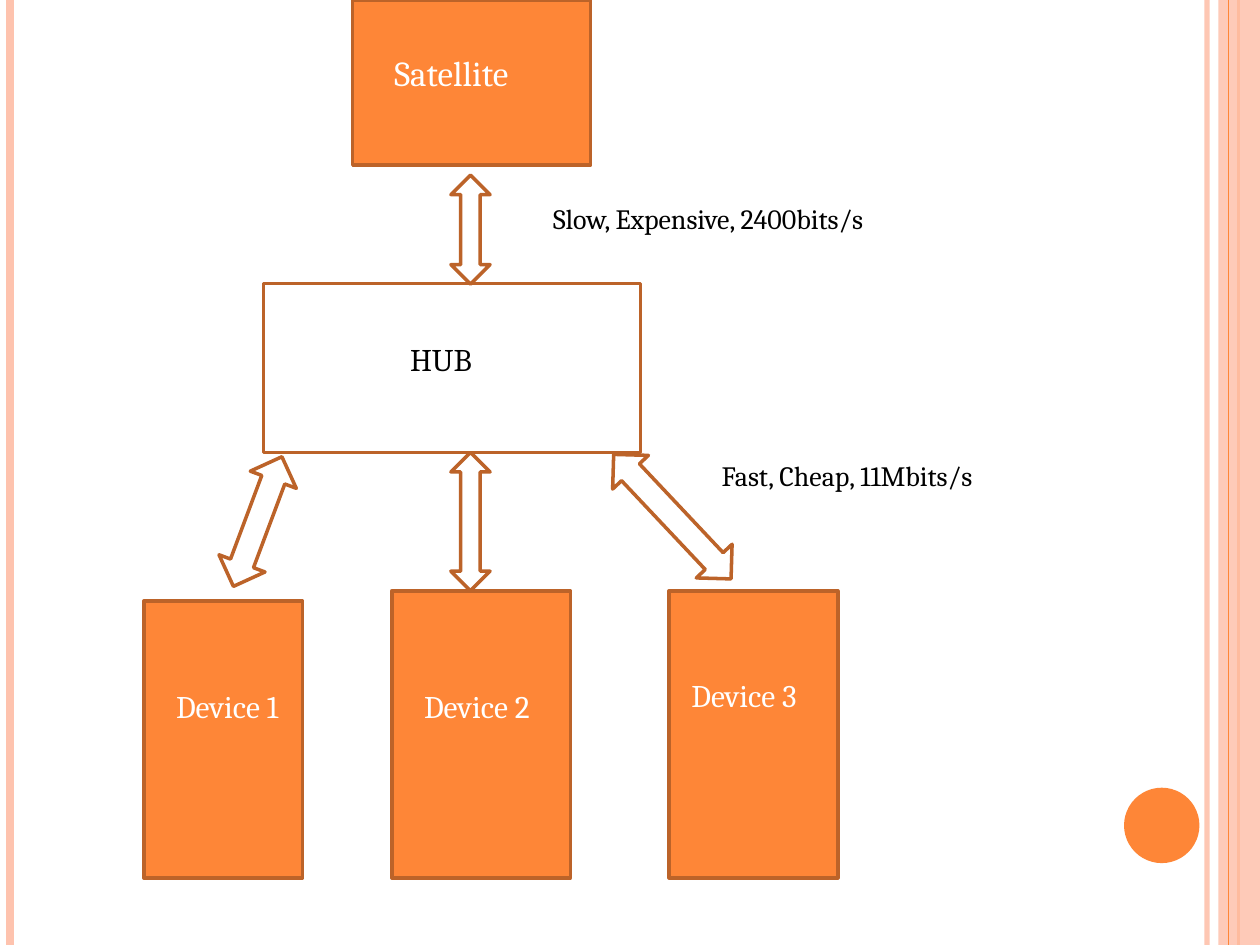
"""Build the network slide: a satellite, a hub and three devices."""
from lxml.etree import SubElement
from pptx import Presentation
from pptx.dml.color import RGBColor
from pptx.enum.shapes import MSO_CONNECTOR, MSO_SHAPE
from pptx.enum.text import MSO_ANCHOR, PP_ALIGN
from pptx.oxml.ns import qn
from pptx.util import Cm, Pt

theme = {
    "orange": RGBColor(0xFE, 0x86, 0x37),
    "outline": RGBColor(0xBC, 0x63, 0x29),
    "pale": RGBColor(0xFE, 0xC3, 0xAE),
    "white": RGBColor(0xFF, 0xFF, 0xFF),
    "black": RGBColor(0, 0, 0),
    "font": "Cambria",
    "title": Pt(20),
    "label": Pt(18),
    "note": Pt(16),
    "border": Pt(2),
}

deck = Presentation()
deck.slide_width, deck.slide_height = Cm(25.4), Cm(19.05)
page = deck.slides.add_slide(deck.slide_layouts[6])


def add_block(kind, place, fill=None, line=None, turn=0):
    block = page.shapes.add_shape(kind, *map(Cm, place))
    block.shadow.inherit = False
    block.rotation = turn
    for part, color in ((block.fill, fill), (block.line.fill, line)):
        if color:
            part.solid()
            part.fore_color.rgb = theme[color]
        else:
            part.background()
    if line:
        block.line.width = theme["border"]
    return block


def set_alpha(element, percent):
    color = next(element.iter(qn("a:srgbClr")))
    SubElement(color, qn("a:alpha")).set("val", str(percent * 1000))


def_rules = [
    (24.33, "pale", 3, 93),
    (0.2, "pale", 4.5, 100),
    (24.97, "orange", 1.5, 100),
    (24.77, "orange", 0.75, 100),
]
for left, color, width, opacity in def_rules:
    if left == 24.77:
        band = add_block(MSO_SHAPE.RECTANGLE, (24.56, 0, 0.84, 19.05), "pale")
        set_alpha(band.fill._xPr, 87)
    rule = page.shapes.add_connector(
        MSO_CONNECTOR.STRAIGHT, Cm(left), 0, Cm(left), deck.slide_height
    )
    rule.line.color.rgb = theme[color]
    rule.line.width = Pt(width)
    properties = rule._element.spPr
    if opacity < 100:
        set_alpha(properties, opacity)
    SubElement(properties, qn("a:effectLst"))

add_block(MSO_SHAPE.OVAL, (22.66, 15.88, 1.52, 1.52), "orange")

boxes = [
    ((2.9, 12.12, 3.2, 5.58), "orange"),
    ((7.9, 11.91, 3.6, 5.79), "orange"),
    ((13.49, 11.91, 3.4, 5.79), "orange"),
    ((5.31, 5.72, 7.6, 3.4), None),
    ((7.11, 0, 4.8, 3.33), "orange"),
]
for place, fill in boxes:
    add_block(MSO_SHAPE.RECTANGLE, place, fill, "outline")

arrows = [
    ((4.7, 9.12, 0.99, 2.79), 20.5),
    ((9.09, 9.12, 0.79, 2.79), 0),
    ((13.06, 8.69, 0.99, 3.45), 316.7),
    ((9.09, 3.53, 0.79, 2.2), 0),
]
for place, turn in arrows:
    add_block(MSO_SHAPE.UP_DOWN_ARROW, place, None, "outline", turn)

labels = [
    ("HUB", (5.89, 6.73, 6, 1.02), "label", "black", PP_ALIGN.CENTER),
    ("Satellite", (7.7, 0.91, 3.4, 1.12), "title", "white", PP_ALIGN.LEFT),
    ("Device 1", (3.3, 13.72, 2.65, 1.8), "label", "white", PP_ALIGN.LEFT),
    ("Device 2", (8.3, 13.72, 2.8, 1.8), "label", "white", PP_ALIGN.LEFT),
    ("Device 3", (13.69, 13.51, 2.8, 1.8), "label", "white", PP_ALIGN.LEFT),
    ("Slow, Expensive, 2400bits/s", (10.9, 3.94, 9.4, 0.94), "note", "black", PP_ALIGN.LEFT),
    ("Fast, Cheap, 11Mbits/s", (14.3, 9.12, 8, 0.94), "note", "black", PP_ALIGN.LEFT),
]
for words, place, size, color, align in labels:
    frame = page.shapes.add_textbox(*map(Cm, place)).text_frame
    frame.word_wrap = True
    frame.vertical_anchor = MSO_ANCHOR.TOP
    para = frame.paragraphs[0]
    para.alignment = align
    span = para.add_run()
    span.text = words
    for name, value in {"name": theme["font"], "size": theme[size]}.items():
        setattr(span.font, name, value)
    span.font.color.rgb = theme[color]

deck.save("out.pptx")
